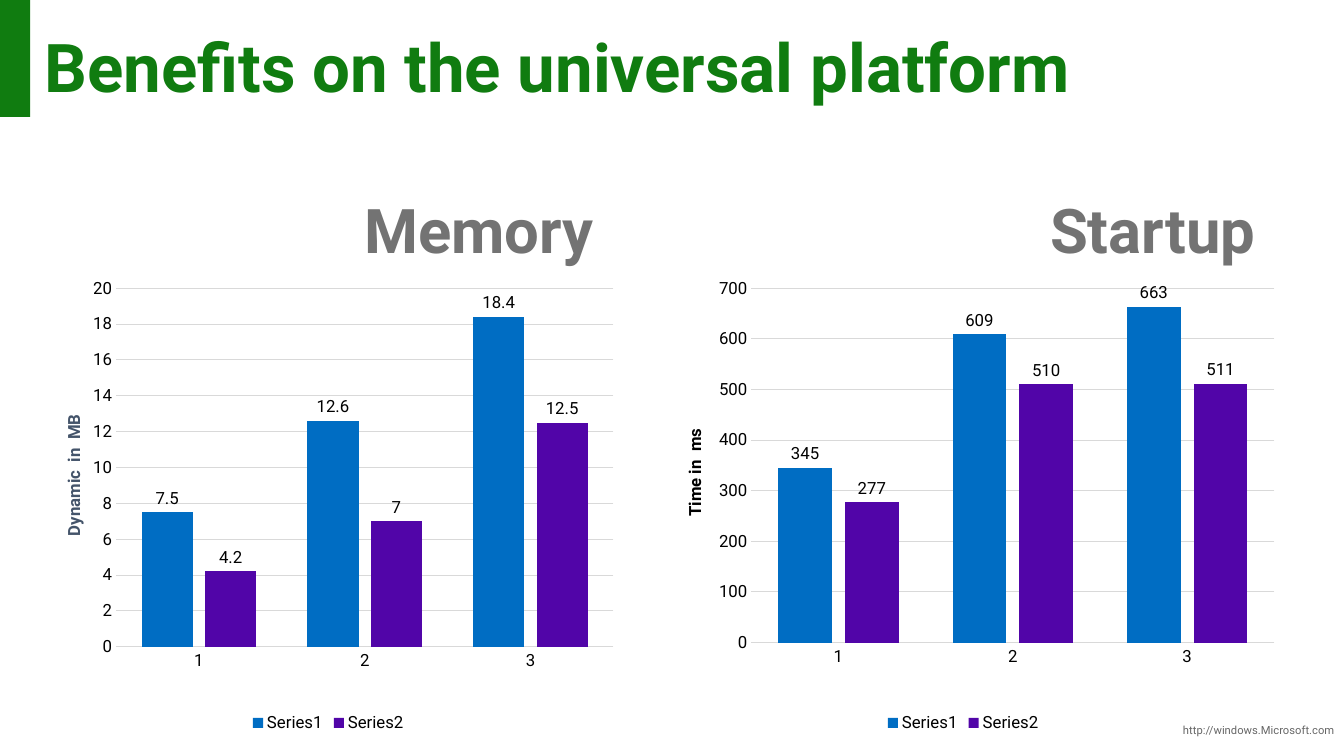
"""Build the slide on the memory and startup benefits of the universal platform."""
from dataclasses import dataclass

from lxml.etree import SubElement
from pptx import Presentation
from pptx.chart.data import CategoryChartData as Data
from pptx.dml.color import RGBColor as RGB
from pptx.enum.chart import XL_CHART_TYPE as Kind
from pptx.enum.chart import XL_LABEL_POSITION as Spot
from pptx.enum.chart import XL_LEGEND_POSITION as Side
from pptx.enum.chart import XL_TICK_MARK as Tick
from pptx.enum.shapes import MSO_SHAPE as Shape
from pptx.enum.text import MSO_ANCHOR as Anchor
from pptx.enum.text import PP_ALIGN as Align
from pptx.oxml.ns import qn
from pptx.util import Pt


@dataclass(frozen=True)
class Theme:
    """Hold the colours, type sizes and font."""
    face: str = "Roboto"
    green: str = "107C10"
    gray: str = "737373"
    link: str = "666666"
    black: str = "000000"
    slate: str = "44546A"
    rule: str = "D9D9D9"
    bars: tuple = ("006DC3", "5105A8")
    title: int = 48
    head: int = 44
    label: int = 12
    base: int = 10
    small: int = 8


LOOK = Theme()


def style(item, **form):
    """Set each format value on an item."""
    for name, value in form.items():
        setattr(item, name, value)


def ink(font, size, color, bold=False):
    """Give a font its face, size, weight and colour."""
    style(font, name=LOOK.face, size=Pt(size), bold=bold)
    font.color.rgb = RGB.from_string(color)


def paint(fill, color):
    """Fill with one solid colour."""
    fill.solid()
    fill.fore_color.rgb = RGB.from_string(color)


def rule(line):
    """Draw a thin chart line."""
    paint(line.fill, LOOK.rule)
    line.width = Pt(0.75)


def write(box, text, size, color, bold=False, align=Align.LEFT, pad=(7.2, 3.6), **form):
    """Write one formatted paragraph in a box."""
    frame = box.text_frame
    side, top = map(Pt, pad)
    style(frame, text=text, word_wrap=True, vertical_anchor=Anchor.TOP,
          margin_left=side, margin_right=side, margin_top=top, margin_bottom=top)
    para = frame.paragraphs[0]
    style(para, alignment=align, **form)
    ink(para.runs[0].font, size, color, bold)


def place(node, index, **spots):
    """Fix the layout of a chart part at a child index."""
    for old in node.findall(qn("c:layout")):
        node.remove(old)
    layout = SubElement(node, qn("c:layout"))
    node.insert(index, layout)
    manual = SubElement(layout, qn("c:manualLayout"))
    for name, value in spots.items():
        SubElement(manual, qn(f"c:{name}")).set("val", str(value))


def name_axis(axis, text, color, spot):
    """Write an upright title beside the value axis."""
    title = axis.axis_title
    frame = title.text_frame
    frame.text = text
    ink(frame.paragraphs[0].runs[0].font, LOOK.label, color, True)
    body = frame._txBody.bodyPr
    body.set("rot", "-5400000")
    body.set("vert", "horz")
    x, y = spot
    place(title._element, 1, xMode="edge", yMode="edge", x=x, y=y)


def add_bars(slide, area, rows, top, step, name, color, spot, plot):
    """Add one clustered column chart."""
    data = Data()
    data.categories = ["1", "2", "3"]
    for num, row in enumerate(rows, 1):
        data.add_series(f"Series{num}", row)
    chart = slide.shapes.add_chart(Kind.COLUMN_CLUSTERED, *map(Pt, area), data).chart
    ink(chart.font, LOOK.base, LOOK.gray)
    style(chart, has_title=False, has_legend=True)
    style(chart.legend, position=Side.BOTTOM, include_in_layout=False)
    ink(chart.legend.font, LOOK.label, LOOK.black)

    cat, val = chart.category_axis, chart.value_axis
    for axis in (cat, val):
        style(axis, major_tick_mark=Tick.NONE, minor_tick_mark=Tick.NONE)
        ink(axis.tick_labels.font, LOOK.label, LOOK.black)
    rule(cat.format.line)
    val.format.line.fill.background()
    style(val, minimum_scale=0, maximum_scale=top, major_unit=step,
          has_major_gridlines=True)
    rule(val.major_gridlines.format.line)
    name_axis(val, name, color, spot)

    bars = chart.plots[0]
    style(bars, gap_width=100, overlap=-24, vary_by_categories=False)
    for row, tint in zip(bars.series, LOOK.bars):
        paint(row.format.fill, tint)
        tags = row.data_labels
        style(tags, show_value=True, position=Spot.OUTSIDE_END)
        ink(tags.font, LOOK.label, LOOK.black)
    x, y, w, h = plot
    place(chart._chartSpace.chart.plotArea, 0, layoutTarget="inner",
          xMode="edge", yMode="edge", x=x, y=y, w=w, h=h)


def add_text(slide, area, *args, **form):
    """Add a right-aligned text box."""
    box = slide.shapes.add_textbox(*map(Pt, area))
    write(box, *args, align=Align.RIGHT, **form)


def add_block(slide, area, color):
    """Add a plain block of colour."""
    block = slide.shapes.add_shape(Shape.RECTANGLE, *map(Pt, area))
    block.shadow.inherit = False
    paint(block.fill, color)
    block.line.fill.background()


def add_title(slide, area, text):
    """Move and format the title placeholder."""
    title = slide.shapes.title
    style(title, **dict(zip(("left", "top", "width", "height"), map(Pt, area))))
    write(title, text, LOOK.title, LOOK.green, True, pad=(10.8, 8.64), line_spacing=0.9)


def main():
    """Build and save the slide."""
    deck = Presentation()
    style(deck, slide_width=Pt(960), slide_height=Pt(540))
    slide = deck.slides.add_slide(deck.slide_layouts[5])
    add_text(slide, (829.4, 513.4, 131, 23.8), "http://windows.Microsoft.com",
             LOOK.small, LOOK.link)
    add_block(slide, (0, 0, 21.6, 83.5), LOOK.green)
    add_bars(slide, (453, 189.4, 470, 337), ((345, 609, 663), (277, 510, 511)), 700, 100,
             "Time in  ms", LOOK.black, (0.07, 0.34), (0.178, 0.049, 0.795, 0.751))
    add_bars(slide, (21, 189.4, 427, 337), ((7.5, 12.6, 18.4), (4.2, 7, 12.5)), 20, 2,
             "Dynamic  in  MB", LOOK.slate, (0.05, 0.31), (0.145, 0.049, 0.832, 0.76))
    for left, text in ((637.2, "Startup"), (164.2, "Memory")):
        add_text(slide, (left, 131.8, 274.3, 71.3), text, LOOK.head, LOOK.gray, True,
                 pad=(14.4, 11.5), line_spacing=0.9, space_after=Pt(6))
    add_title(slide, (21, 15.8, 917.3, 77), "Benefits on the universal platform")
    deck.save("out.pptx")


if __name__ == "__main__":
    main()
